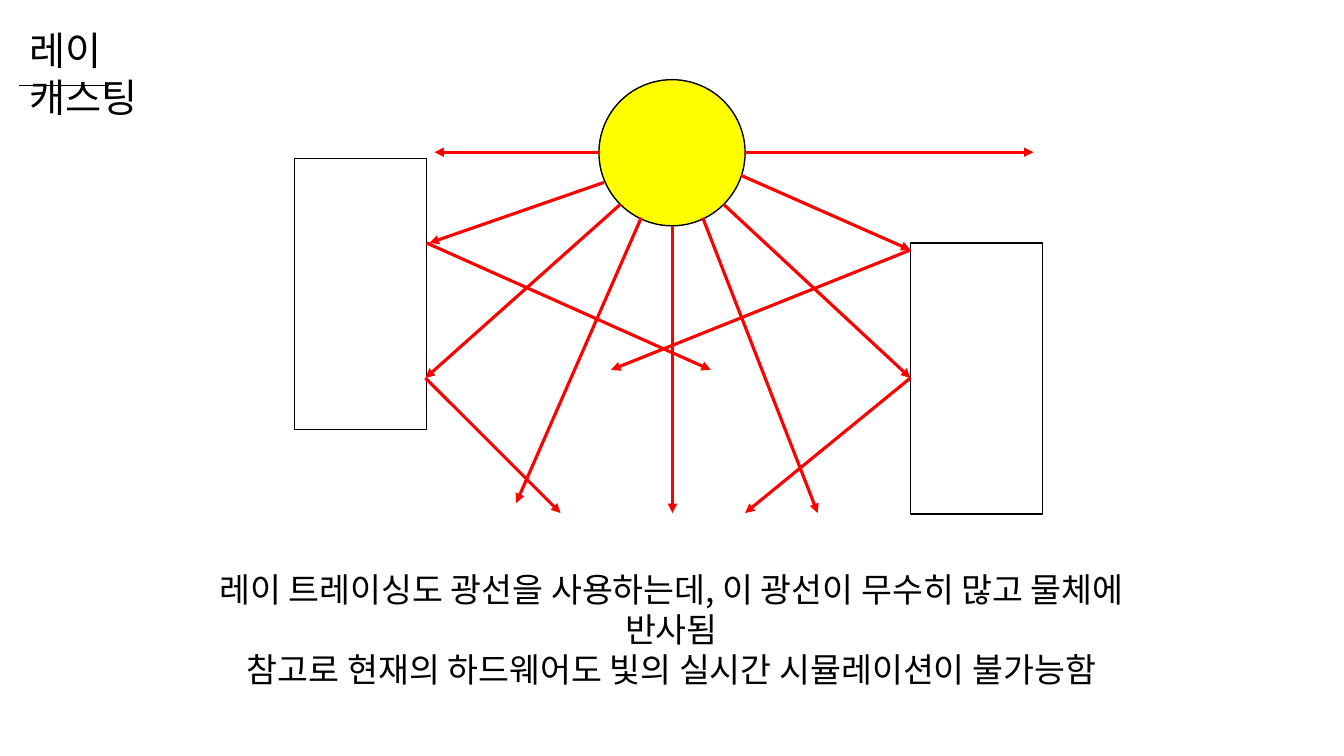
from lxml import etree
from pptx import Presentation
from pptx import util as u
from pptx.dml.color import RGBColor
from pptx.enum import shapes, text
from pptx.oxml.ns import qn

PX = 9144  # EMU in one px, 100 px to the inch
FONT = "Noto Sans CJK KR"
BLACK = RGBColor(0, 0, 0)
WHITE = RGBColor(255, 255, 255)
YELLOW = RGBColor(255, 255, 0)
RED = RGBColor(255, 0, 0)

TITLE = "레이 캐스팅"
CAPTION = [
    "레이 트레이싱도 광선을 사용하는데, 이 광선이 무수히 많고 물체에 반사됨",
    "참고로 현재의 하드웨어도 빛의 실시간 시뮬레이션이 불가능함",
]

# Each ray is a chain of points: light, then bounces
RAYS = [
    [(594, 151), (431, 151)],
    [(667, 224), (667, 509)],
    [(739, 151), (1025, 151)],
    [(615, 203), (422, 375), (556, 509)],
    [(718, 203), (903, 375), (739, 509)],
    [(697, 216), (811, 509)],
    [(636, 216), (512, 499)],
    [(599, 181), (426, 241)],
    [(423, 241), (705, 367)],
    [(735, 174), (903, 248), (606, 367)],
]


def emu(*lengths):
    return [u.Emu(length * PX) for length in lengths]


def write(frame, lines, size, align):
    frame.word_wrap = True
    frame.auto_size = text.MSO_AUTO_SIZE.NONE
    frame.vertical_anchor = text.MSO_ANCHOR.TOP
    frame.text = "\n".join(lines)
    for paragraph in frame.paragraphs:
        paragraph.alignment = align
        paragraph.font.size = u.Pt(size)
        paragraph.font.name = FONT
        paragraph.font.color.rgb = BLACK


def add_title(slide, title, box):
    shape = slide.shapes.title
    shape.left, shape.top, shape.width, shape.height = emu(*box)
    write(shape.text_frame, [title], 28, text.PP_ALIGN.LEFT)


def add_caption(slide, lines, box):
    shape = slide.shapes.add_textbox(*emu(*box))
    write(shape.text_frame, lines, 24, text.PP_ALIGN.CENTER)


def add_body(slide, kind, box, fill):
    shape = slide.shapes.add_shape(kind, *emu(*box))
    shape.shadow.inherit = False
    shape.fill.solid()
    shape.fill.fore_color.rgb = fill
    shape.line.color.rgb = BLACK
    shape.line.width = u.Pt(1)


def add_line(slide, start, end, color, width, arrow=False):
    line = slide.shapes.add_connector(
        shapes.MSO_CONNECTOR.STRAIGHT, *emu(*start, *end))
    line.line.color.rgb = color
    line.line.width = u.Pt(width)
    if arrow:
        outline = line.line._get_or_add_ln()
        etree.SubElement(outline, qn("a:tailEnd"), type="triangle")
    etree.SubElement(line._element.spPr, qn("a:effectLst"))


def main():
    presentation = Presentation()
    presentation.slide_width, presentation.slide_height = emu(1333, 750)
    slide = presentation.slides.add_slide(presentation.slide_layouts[5])

    # Heading and explanation
    add_title(slide, TITLE, (19, 21, 199, 57))
    add_line(slide, (19, 85), (108, 85), BLACK, 0.5)
    add_caption(slide, CAPTION, (181, 559, 970, 91))

    # Light source and the two reflecting objects
    add_body(slide, shapes.MSO_SHAPE.OVAL, (594, 79, 145, 145), YELLOW)
    for left, top in [(292, 157), (903, 241)]:
        add_body(slide, shapes.MSO_SHAPE.RECTANGLE, (left, top, 131, 269), WHITE)

    # Light rays
    for ray in RAYS:
        for start, end in zip(ray, ray[1:]):
            add_line(slide, start, end, RED, 2.25, arrow=True)

    presentation.save("out.pptx")


if __name__ == "__main__":
    main()
